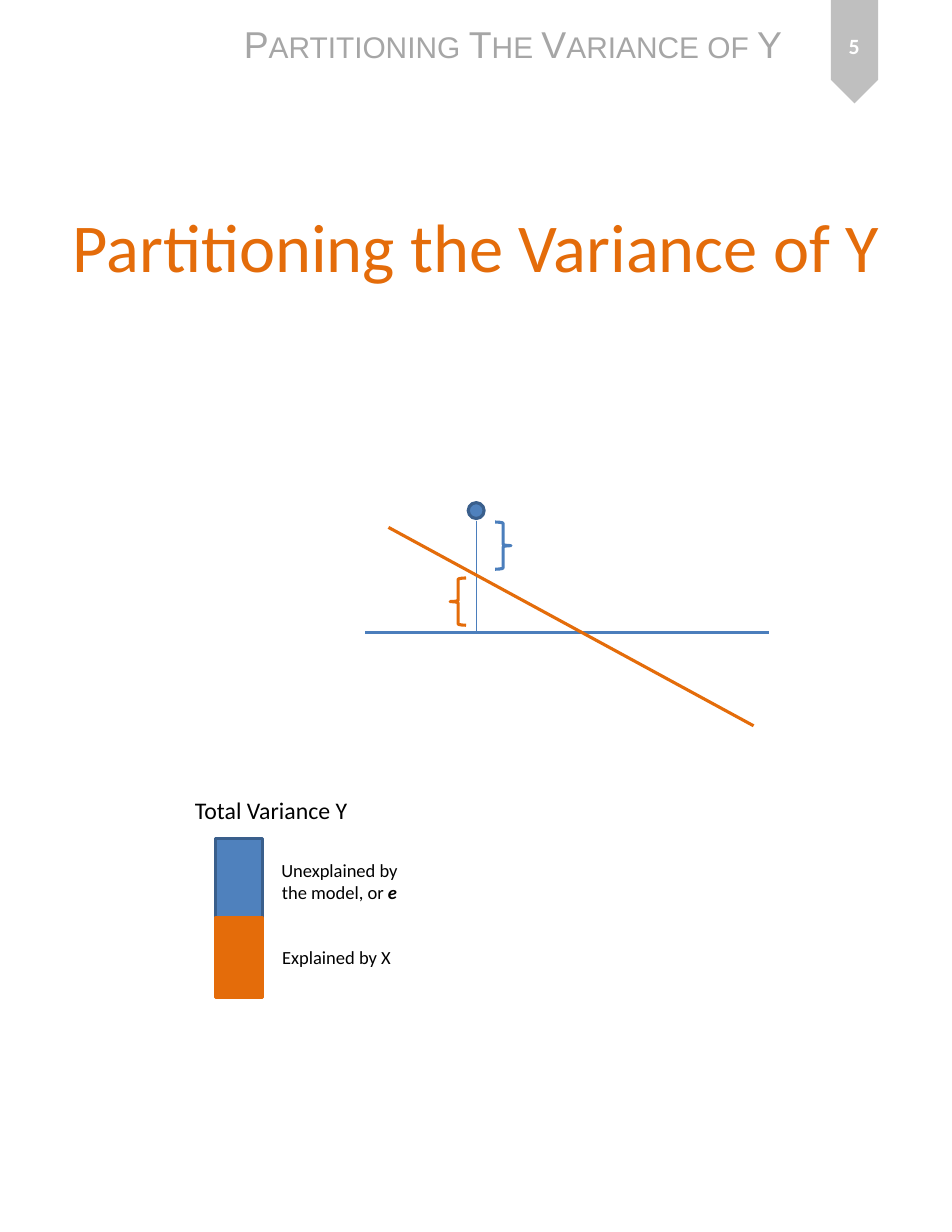
from pptx import Presentation
from pptx.dml.color import RGBColor
from pptx.enum.shapes import MSO_CONNECTOR, MSO_SHAPE
from pptx.enum.text import MSO_ANCHOR, MSO_AUTO_SIZE, PP_ALIGN
from pptx.oxml.ns import qn
from pptx.util import Cm, Pt

COLORS = {
    "blue": "4F81BD", "blue_line": "4B7EBC", "blue_edge": "3A5F8C",
    "orange": "E46C0A", "tag": "BFBFBF", "header": "A6A6A6",
    "black": "000000", "white": "FFFFFF",
}


def color(name):
    return RGBColor.from_string(COLORS[name])


def add_text(s, box, text, size, fill="black", font="Calibri", bold=False,
             align=PP_ALIGN.LEFT, anchor=MSO_ANCHOR.TOP, wrap=False,
             small_caps=False, emphasis=""):
    """Add text, with line breaks at newlines and an optional bold italic end."""
    tf = s.shapes.add_textbox(*map(Cm, box)).text_frame
    tf.word_wrap = wrap
    tf.auto_size = MSO_AUTO_SIZE.NONE if wrap else MSO_AUTO_SIZE.SHAPE_TO_FIT_TEXT
    tf.vertical_anchor = anchor
    p = tf.paragraphs[0]
    p.alignment = align

    def add_run(content, strong, italic):
        r = p.add_run()
        r.text = content
        r.font.name, r.font.size = font, Pt(size)
        r.font.bold, r.font.italic = strong, italic
        r.font.color.rgb = color(fill)
        if small_caps:
            r.font._element.set("cap", "small")

    for i, line in enumerate(text.split("\n")):
        if i:
            p.add_line_break()
        add_run(line, bold, False)
    if emphasis:
        add_run(emphasis, True, True)


def add_shape(s, kind, box, fill, line=None, rotation=0):
    sp = s.shapes.add_shape(kind, *map(Cm, box))
    sp.shadow.inherit = False
    sp.rotation = rotation
    sp.fill.solid()
    sp.fill.fore_color.rgb = color(fill)
    if line:
        sp.line.color.rgb = color(line)
        sp.line.width = Pt(2)
    else:
        sp.line.fill.background()


def add_line(s, start, end, line, width=2):
    cx = s.shapes.add_connector(MSO_CONNECTOR.STRAIGHT, *map(Cm, start + end))
    cx.line.color.rgb = color(line)
    cx.line.width = Pt(width)
    spPr = cx._element.spPr
    spPr.append(spPr.makeelement(qn("a:effectLst"), {}))


def add_header(s):
    add_shape(s, MSO_SHAPE.PENTAGON, (18.21, 0.64, 2.34, 1.07), "tag", rotation=90)
    add_text(s, (5.28, 0.36, 12.85, 1.27), "Partitioning The Variance of Y", 24,
             fill="header", font="Arial", small_caps=True)
    add_text(s, (18.52, 0.28, 1.7, 1.5), "5", 14, fill="white", bold=True,
             align=PP_ALIGN.CENTER, anchor=MSO_ANCHOR.MIDDLE, wrap=True)


def add_regression(s):
    x, mean_y, dot = 10.8, 14.35, 0.36
    # Mean of Y, deviation of the observation, and the observation
    add_line(s, (8.28, mean_y), (17.45, mean_y), "blue_line")
    add_line(s, (x, 11.81), (x, mean_y), "blue_line", 0.75)
    add_shape(s, MSO_SHAPE.OVAL, (x - dot / 2, 11.4, dot, dot), "blue", "blue_edge")
    # Regression line
    add_line(s, (8.81, 11.96), (17.09, 16.46), "orange")
    # Explained and unexplained parts of the deviation
    for kind, left, top, line in (
            (MSO_SHAPE.LEFT_BRACE, 10.21, 13.11, "orange"),
            (MSO_SHAPE.RIGHT_BRACE, 11.23, 11.84, "blue_line")):
        add_shape(s, kind, (left, top, 0.36, 1.07), "white", line)


def add_variance_bar(s):
    left, top, width, height = 4.88, 19.02, 1.07, 1.8
    for i, (fill, line) in enumerate((("blue", "blue_edge"), ("orange", "orange"))):
        add_shape(s, MSO_SHAPE.RECTANGLE,
                  (left, top + i * height, width, height), fill, line)
    add_text(s, (4.17, 17.93, 4.01, 0.91), "Total Variance Y", 15.3)
    add_text(s, (6.1, 19.35, 3.2, 1.27), "Unexplained by\nthe model, or ", 11.9,
             align=PP_ALIGN.CENTER, emphasis="e")
    add_text(s, (6.15, 21.34, 3, 0.76), "Explained by X", 11.9)


def main():
    prs = Presentation()
    prs.slide_width, prs.slide_height = Cm(21.59), Cm(27.94)
    s = prs.slides.add_slide(prs.slide_layouts[6])

    add_header(s)
    # Title
    add_text(s, (1.09, 3.23, 19.43, 4.65), "Partitioning the Variance of Y", 44,
             fill="orange", align=PP_ALIGN.CENTER, anchor=MSO_ANCHOR.MIDDLE, wrap=True)
    add_regression(s)
    add_variance_bar(s)

    prs.save("out.pptx")


if __name__ == "__main__":
    main()
